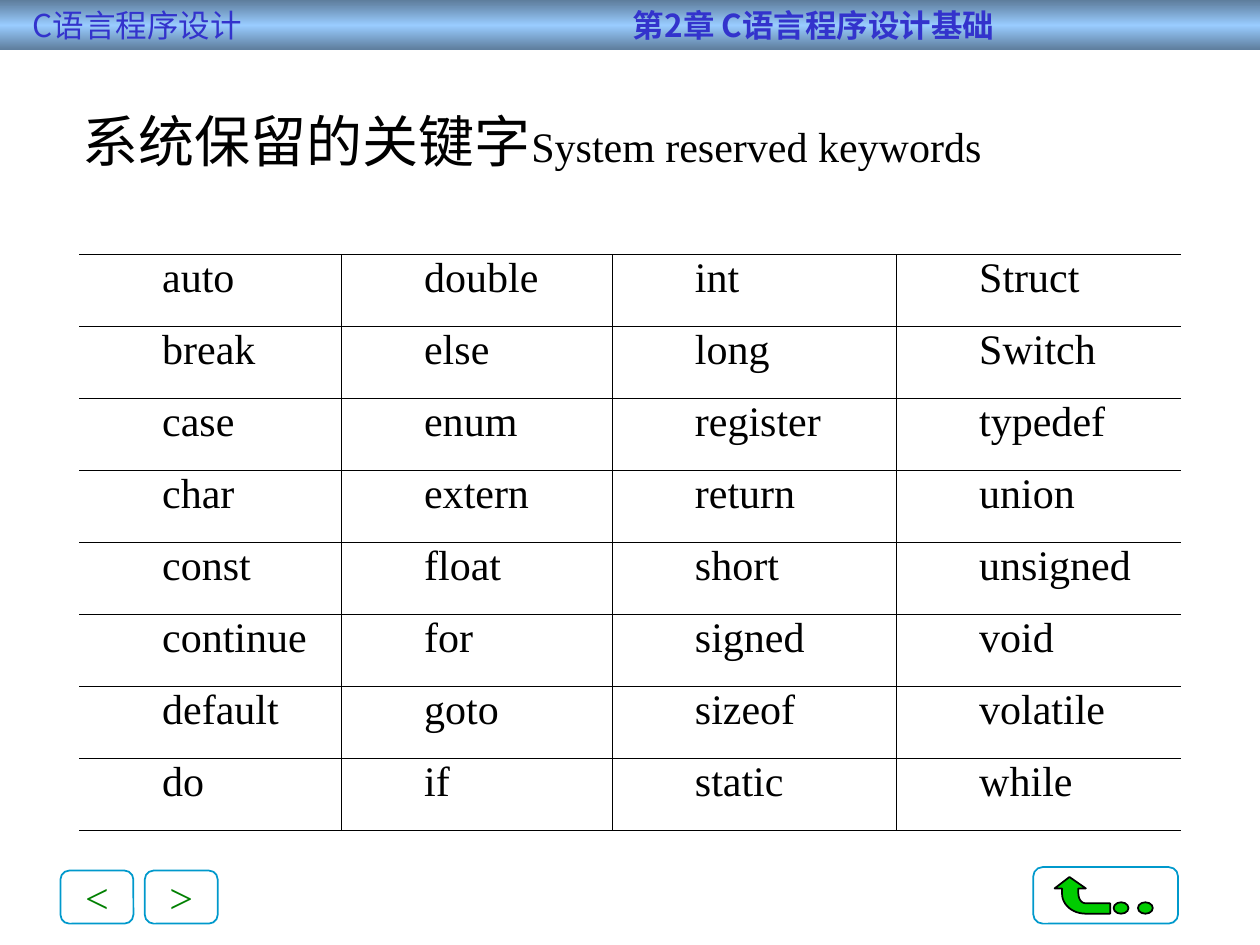
import pptx
import pptx.dml.color
import pptx.enum.shapes
import pptx.enum.text
import pptx.oxml
import pptx.oxml.ns
import pptx.util
from pptx.util import Cm

# Content
HEADER = ("C语言程序设计", "第2章 C语言程序设计基础")
TITLE = ("系统保留的关键字", "System reserved keywords")
KEYWORDS = [
    ("auto", "double", "int", "Struct"),
    ("break", "else", "long", "Switch"),
    ("case", "enum", "register", "typedef"),
    ("char", "extern", "return", "union"),
    ("const", "float", "short", "unsigned"),
    ("continue", "for", "signed", "void"),
    ("default", "goto", "sizeof", "volatile"),
    ("do", "if", "static", "while"),
]
BUTTONS = ["<", ">"]

# Return arrow in centimetres: two numbers for a line, six for a curve
ARROW_START = (21.56, 17.68)
ARROW_STEPS = [
    (21.26, 17.91), (21.41, 17.91), (21.41, 18.01),
    (21.41, 18.24, 21.62, 18.42, 21.89, 18.42),
    (22.38, 18.42), (22.38, 18.21), (21.89, 18.21),
    (21.79, 18.21, 21.74, 18.11, 21.74, 18.01),
    (21.74, 17.91), (21.89, 17.91),
]

THEME = {
    "latin": "Times New Roman", "chinese": "Noto Sans CJK SC",
    "black": "000000", "header": "3333CC", "sign": "008000",
    "button_line": "0099CC", "arrow": "00CC00",
    "band": [(0, "5D7C9B"), (50, "99CCFF"), (100, "5D7C9B")],
    "header_size": 18, "title_size": 32, "body_size": 24,
}
COLUMN_WIDTHS = [5.28, 5.46, 5.73, 5.74]
ROW_HEIGHT = 1.45
SHAPES = pptx.enum.shapes.MSO_SHAPE
ALIGN = pptx.enum.text.PP_ALIGN
MIDDLE = pptx.enum.text.MSO_ANCHOR.MIDDLE
NAMESPACE = pptx.oxml.ns.nsdecls("a")


def colour(name):
    return pptx.dml.color.RGBColor.from_string(THEME[name])


def apply_format(target, values):
    for name, value in values.items():
        setattr(target, name, value)


def xml(text):
    return pptx.oxml.parse_xml(text.replace(" xmlns", f" {NAMESPACE}", 1))


def add_run(paragraph, text, size, colour_name="black", latin="latin", bold=False):
    run = paragraph.add_run()
    run.text = text
    apply_format(run.font, {"size": pptx.util.Pt(THEME[size]), "name": THEME[latin], "bold": bold})
    run.font.color.rgb = colour(colour_name)
    run.font._element.append(xml(f'<a:ea xmlns typeface="{THEME["chinese"]}"/>'))


def set_frame(frame, side_margin, wrap=True):
    apply_format(frame, {
        "margin_left": Cm(side_margin), "margin_right": Cm(0.25),
        "margin_top": 0, "margin_bottom": 0,
        "vertical_anchor": MIDDLE, "word_wrap": wrap,
    })
    return frame.paragraphs[0]


def style_shape(shape, line=None, fill=None):
    shape.shadow.inherit = False
    if fill:
        shape.fill.solid()
        shape.fill.fore_color.rgb = colour(fill)
    else:
        shape.fill.background()
    if line:
        shape.line.color.rgb = colour(line)
        shape.line.width = pptx.util.Pt(1)
    else:
        shape.line.fill.background()


def add_shape(slide, kind, left, top, width, height, line=None, fill=None):
    shape = slide.shapes.add_shape(kind, Cm(left), Cm(top), Cm(width), Cm(height))
    style_shape(shape, line, fill)
    return shape


def curve_points(start, curve, count=12):
    corners = [start, curve[0:2], curve[2:4], curve[4:6]]
    for step in range(1, count + 1):
        t = step / count
        weights = [(1 - t) ** 3, 3 * t * (1 - t) ** 2, 3 * t * t * (1 - t), t ** 3]
        yield tuple(sum(w * corner[axis] for w, corner in zip(weights, corners)) for axis in (0, 1))


def add_navigation(slide):
    # Previous and next buttons
    for index, sign in enumerate(BUTTONS):
        button = add_shape(slide, SHAPES.ROUNDED_RECTANGLE, 1.22 + index * 1.7, 17.55, 1.47, 1.07, "button_line")
        paragraph = set_frame(button.text_frame, 0.25, wrap=False)
        paragraph.alignment = ALIGN.CENTER
        add_run(paragraph, sign, "body_size", "sign")

    # Return button: bent arrow, two dots and frame
    points = [ARROW_START]
    for step in ARROW_STEPS:
        points.extend([step] if len(step) == 2 else curve_points(points[-1], step))
    corners = [(Cm(x), Cm(y)) for x, y in points]
    builder = slide.shapes.build_freeform(*corners[0])
    builder.add_line_segments(corners[1:], close=True)
    style_shape(builder.convert_to_shape(), "black", "arrow")
    for left in (22.45, 22.94):
        add_shape(slide, SHAPES.OVAL, left, 18.19, 0.3, 0.23, "black", "arrow")
    add_shape(slide, SHAPES.ROUNDED_RECTANGLE, 20.83, 17.48, 2.92, 1.14, "button_line")


def add_header(slide):
    band = add_shape(slide, SHAPES.RECTANGLE, 0, 0, 25.4, 1.02)
    band.fill.gradient()
    band.fill.gradient_angle = 90
    stops = band._element.spPr.find(".//" + pptx.oxml.ns.qn("a:gsLst"))
    stops.clear()
    for position, value in THEME["band"]:
        stops.append(xml(f'<a:gs xmlns pos="{position * 1000}"><a:srgbClr val="{value}"/></a:gs>'))
    paragraph = set_frame(band.text_frame, 0.66)
    paragraph.alignment = ALIGN.LEFT
    properties = paragraph._p.get_or_add_pPr()
    properties.append(xml(f'<a:tabLst xmlns><a:tab pos="{Cm(12.1)}" algn="l"/></a:tabLst>'))
    add_run(paragraph, HEADER[0] + "\t", "header_size", "header", "chinese")
    add_run(paragraph, HEADER[1], "header_size", "header", "chinese", bold=True)


def add_keyword_table(slide):
    frame = slide.shapes.add_table(
        len(KEYWORDS), len(COLUMN_WIDTHS), Cm(1.6), Cm(5.13),
        Cm(sum(COLUMN_WIDTHS)), Cm(ROW_HEIGHT * len(KEYWORDS)))
    table = frame.table
    apply_format(table, {"first_row": False, "horz_banding": False})
    for column, width in zip(table.columns, COLUMN_WIDTHS):
        column.width = Cm(width)
    for row, words in zip(table.rows, KEYWORDS):
        row.height = Cm(ROW_HEIGHT)
        for index, (cell, word) in enumerate(zip(row.cells, words)):
            apply_format(cell, {
                "margin_left": Cm(0.2), "margin_right": Cm(0.2),
                "margin_top": Cm(0.13), "margin_bottom": Cm(0.13), "vertical_anchor": MIDDLE,
            })
            cell.fill.background()
            paragraph = cell.text_frame.paragraphs[0]
            apply_format(paragraph, {"alignment": ALIGN.JUSTIFY, "line_spacing": pptx.util.Pt(13)})
            paragraph._p.get_or_add_pPr().set("marL", str(Cm(1.47)))
            add_run(paragraph, word, "body_size")
            # Ruled all over except the outer left and right sides
            hidden = {0: "L", len(words) - 1: "R"}.get(index)
            for order, side in enumerate("LRTB"):
                paint = "<a:noFill/>" if side == hidden else (
                    f'<a:solidFill><a:srgbClr val="{THEME["black"]}"/></a:solidFill>')
                cell._tc.get_or_add_tcPr().insert(
                    order, xml(f'<a:ln{side} xmlns w="{pptx.util.Pt(0.45)}">{paint}</a:ln{side}>'))


def add_title(slide):
    box = slide.shapes.add_textbox(Cm(1.42), Cm(2.01), Cm(19.1), Cm(1.63))
    paragraph = set_frame(box.text_frame, 0.25)
    for text, size in zip(TITLE, ("title_size", "body_size")):
        add_run(paragraph, text, size)


def main():
    presentation = pptx.Presentation()
    apply_format(presentation, {"slide_width": Cm(25.4), "slide_height": Cm(19.05)})
    slide = presentation.slides.add_slide(presentation.slide_layouts[6])
    for add_part in (add_navigation, add_header, add_keyword_table, add_title):
        add_part(slide)
    presentation.save("out.pptx")


if __name__ == "__main__":
    main()
